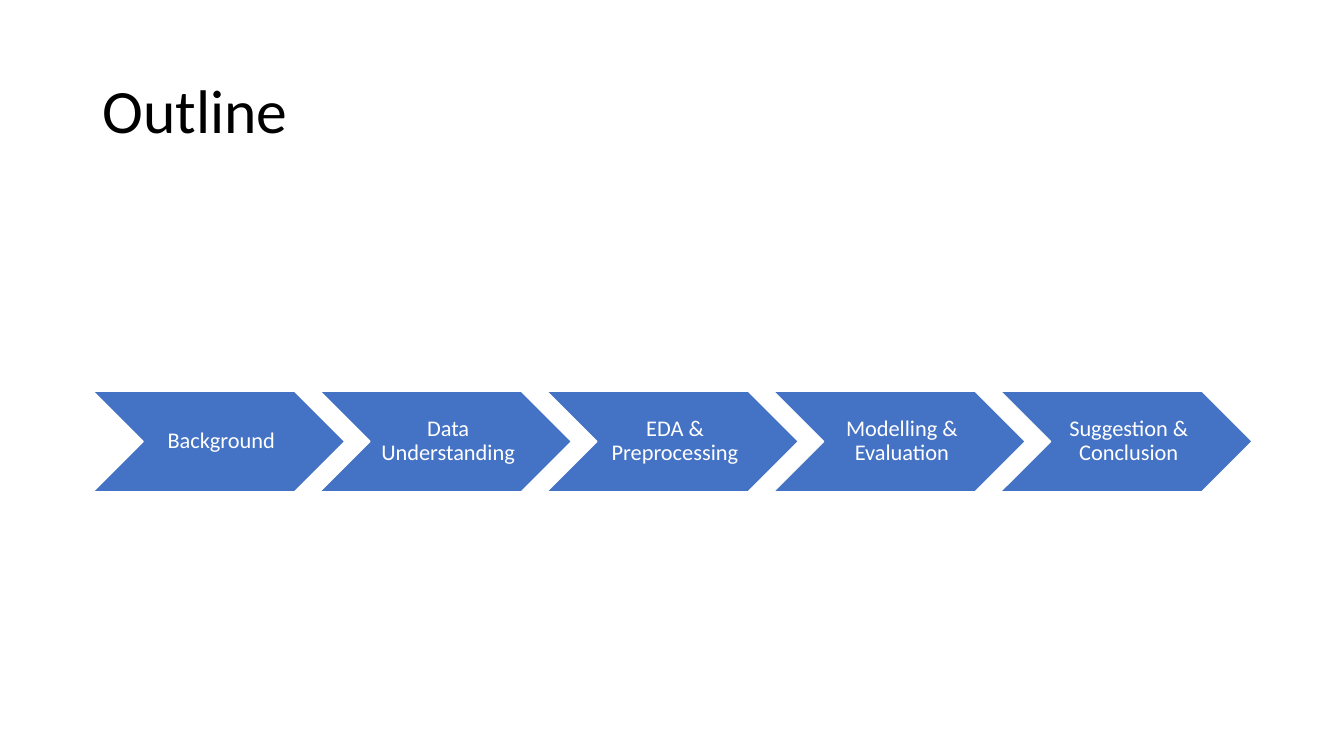
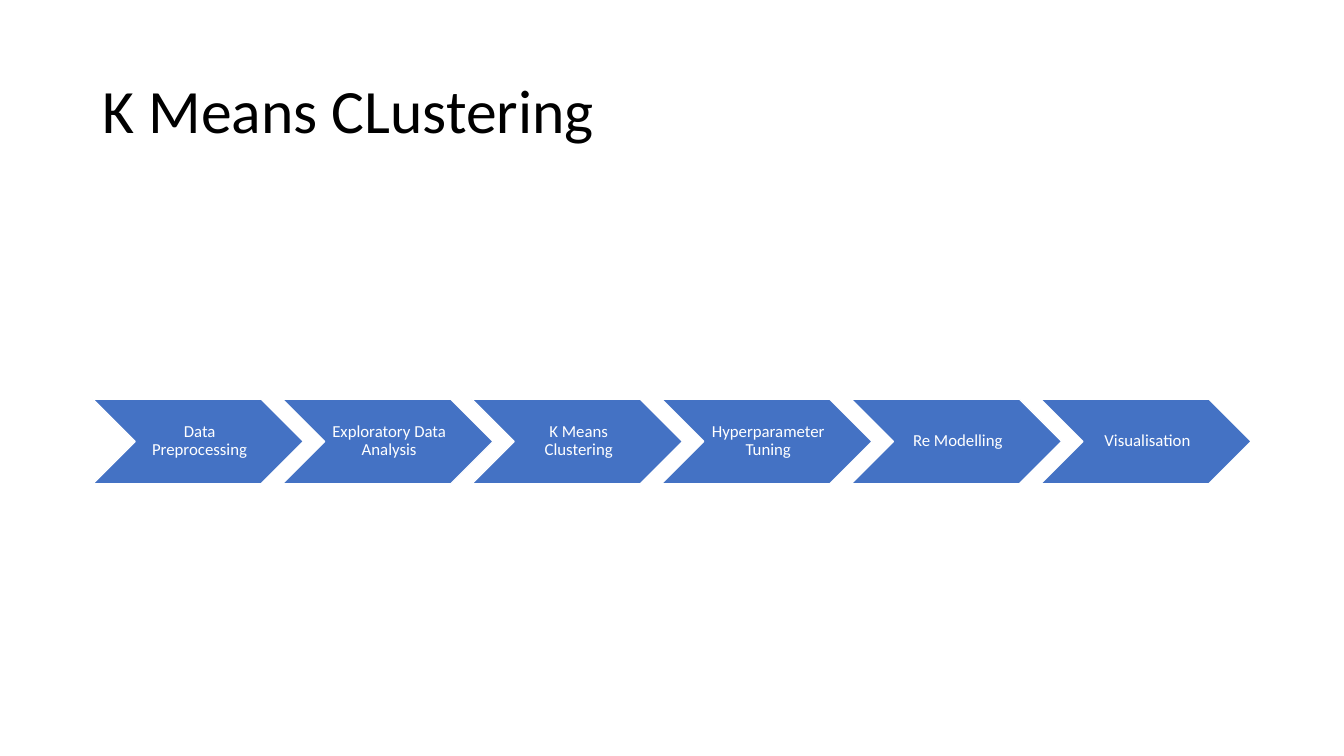
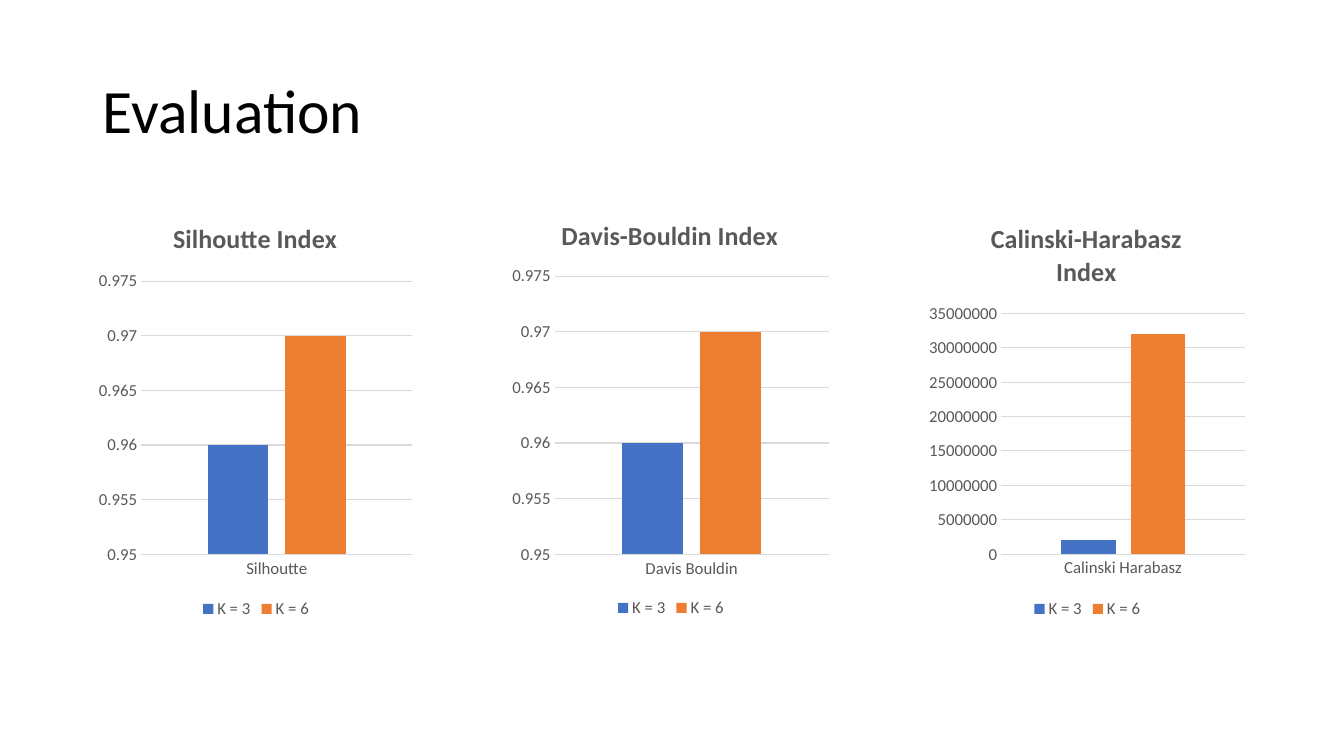
from dataclasses import dataclass
from typing import Any

from lxml.etree import SubElement
from pptx import Presentation
from pptx.chart.data import CategoryChartData
from pptx.dml.color import RGBColor
from pptx.enum.chart import XL_CHART_TYPE, XL_LEGEND_POSITION, XL_TICK_MARK
from pptx.enum.shapes import MSO_SHAPE
from pptx.enum.text import MSO_ANCHOR, PP_ALIGN
from pptx.oxml.ns import qn
from pptx.util import Emu, Pt

# Shared look
FONT = "Calibri"
BLUE, ORANGE, WHITE, BLACK = "4472C4", "ED7D31", "FFFFFF", "000000"
GREY, RULE = "595959", "D9D9D9"
SCALE = 9144  # EMU in one px, 100 px to the inch
LEFT = 92


@dataclass
class Box:
    left: int
    top: int
    width: int
    height: int

    def emu(self) -> list[Emu]:
        return [px(n) for n in (self.left, self.top, self.width, self.height)]


@dataclass
class Process:
    title: str
    steps: list[str]
    first: Box
    pitch: int
    size: int
    inset: int


@dataclass
class Score:
    title: str
    category: str
    values: tuple[float, float]
    box: Box
    heading: tuple[int, int]  # left and top within the chart
    plot: Box  # within the chart
    axis: dict[str, float]


PROCESSES = [
    Process("Outline",
            ["Background", "Data Understanding", "EDA & Preprocessing",
             "Modelling & Evaluation", "Suggestion & Conclusion"],
            Box(LEFT, 388, 250, 100), 225, 16, 7),
    Process("K Means CLustering",
            ["Data Preprocessing", "Exploratory Data Analysis", "K Means Clustering",
             "Hyperparameter Tuning", "Re Modelling", "Visualisation"],
            Box(LEFT, 396, 209, 84), 188, 12, 5),
]

INDEX_AXIS = {"minimum_scale": 0.95, "maximum_scale": 0.975, "major_unit": 0.005}
COUNT_AXIS = {"minimum_scale": 0, "maximum_scale": 35000000, "major_unit": 5000000}
SERIES = {"K = 3": BLUE, "K = 6": ORANGE}
SCORES = [
    Score("Silhoutte Index", "Silhoutte", (0.96, 0.97),
          Box(LEFT, 200, 324, 418), (75, 14), Box(48, 79, 269, 271), INDEX_AXIS),
    Score("Davis-Bouldin Index", "Davis Bouldin", (0.96, 0.97),
          Box(502, 200, 327, 417), (50, 11), Box(48, 74, 272, 276), INDEX_AXIS),
    Score("Calinski-Harabasz Index", "Calinski Harabasz", (2000000, 32000000),
          Box(915, 200, 327, 418), (63, 14), Box(78, 111, 242, 239), COUNT_AXIS),
]


def px(length: int) -> Emu:
    return Emu(length * SCALE)


def colour(value: str) -> RGBColor:
    return RGBColor.from_string(value)


def apply(target: Any, values: dict[str, Any]) -> None:
    for name, value in values.items():
        setattr(target, name, value)


def set_font(font: Any, size: float, shade: str, bold: bool = False) -> None:
    apply(font, {"name": FONT, "size": Pt(size), "bold": bold})
    font.color.rgb = colour(shade)


def write(frame: Any, text: str, size: int, shade: str, align: PP_ALIGN) -> None:
    apply(frame, {"word_wrap": True, "vertical_anchor": MSO_ANCHOR.MIDDLE})
    para = frame.paragraphs[0]
    apply(para, {"alignment": align, "line_spacing": 0.9})
    span = para.add_run()
    span.text = text
    set_font(span.font, size, shade)


def add_page(deck: Any, title: str) -> Any:
    page = deck.slides.add_slide(deck.slide_layouts[6])
    box = page.shapes.add_textbox(*Box(LEFT, 40, 1150, 145).emu())
    write(box.text_frame, title, 44, BLACK, PP_ALIGN.LEFT)
    return page


def add_process(page: Any, process: Process) -> None:
    first = process.first
    for index, step in enumerate(process.steps):
        place = Box(first.left + index * process.pitch, first.top, first.width, first.height)
        chevron = page.shapes.add_shape(MSO_SHAPE.CHEVRON, *place.emu())
        chevron.shadow.inherit = False
        chevron.fill.solid()
        chevron.fill.fore_color.rgb = colour(BLUE)
        chevron.line.color.rgb = colour(WHITE)
        chevron.line.width = Pt(1)
        apply(chevron.text_frame, {
            "margin_left": px(process.inset), "margin_right": px(2),
            "margin_top": px(2), "margin_bottom": px(2),
        })
        write(chevron.text_frame, step, process.size, WHITE, PP_ALIGN.CENTER)


def set_layout(parent: Any, values: dict[str, Any]) -> None:
    """Place a chart part by hand, in shares of the chart."""
    layout = parent.find(qn("c:layout"))
    if layout is None:
        layout = SubElement(parent, qn("c:layout"))
        # the layout follows the title text, or leads the plot area
        parent.insert(1 if parent.tag == qn("c:title") else 0, layout)
    manual = SubElement(layout, qn("c:manualLayout"))
    for name, value in values.items():
        SubElement(manual, qn(f"c:{name}")).set("val", str(value))


def add_score(page: Any, score: Score) -> None:
    data = CategoryChartData()
    data.categories = [score.category]
    for name, value in zip(SERIES, score.values):
        data.add_series(name, [value])
    chart = page.shapes.add_chart(
        XL_CHART_TYPE.COLUMN_CLUSTERED, *score.box.emu(), data).chart
    set_font(chart.font, 10, BLACK)

    # Heading
    chart.has_title = True
    para = chart.chart_title.text_frame.paragraphs[0]
    span = para.add_run()
    span.text = score.title
    set_font(span.font, 18.6, GREY, bold=True)

    # Legend
    chart.has_legend = True
    apply(chart.legend, {"position": XL_LEGEND_POSITION.BOTTOM, "include_in_layout": False})
    set_font(chart.legend.font, 12, GREY)

    # Columns
    plot = chart.plots[0]
    apply(plot, {"gap_width": 219, "overlap": -27, "vary_by_categories": False})
    for series, shade in zip(plot.series, SERIES.values()):
        series.format.fill.solid()
        series.format.fill.fore_color.rgb = colour(shade)

    # Axes
    for axis in (chart.category_axis, chart.value_axis):
        apply(axis, {"major_tick_mark": XL_TICK_MARK.NONE, "minor_tick_mark": XL_TICK_MARK.NONE})
        set_font(axis.tick_labels.font, 12, GREY)
    apply(chart.value_axis, score.axis | {"has_major_gridlines": True})
    chart.value_axis.format.line.fill.background()
    for ruled in (chart.category_axis, chart.value_axis.major_gridlines):
        ruled.format.line.color.rgb = colour(RULE)
        ruled.format.line.width = Pt(0.75)

    # Places of heading and plot
    wide, high = score.box.width, score.box.height
    area, (left, top) = score.plot, score.heading
    edges = {"xMode": "edge", "yMode": "edge"}
    chart_part = chart.element.find(qn("c:chart"))
    set_layout(chart_part.find(qn("c:title")),
               edges | {"x": left / wide, "y": top / high})
    set_layout(chart_part.find(qn("c:plotArea")),
               {"layoutTarget": "inner"} | edges
               | {"x": area.left / wide, "y": area.top / high,
                  "w": area.width / wide, "h": area.height / high})


def main() -> None:
    deck = Presentation()
    apply(deck, {"slide_width": px(1333), "slide_height": px(750)})
    for process in PROCESSES:
        add_process(add_page(deck, process.title), process)
    evaluation = add_page(deck, "Evaluation")
    for score in SCORES:
        add_score(evaluation, score)
    deck.save("out.pptx")


if __name__ == "__main__":
    main()
